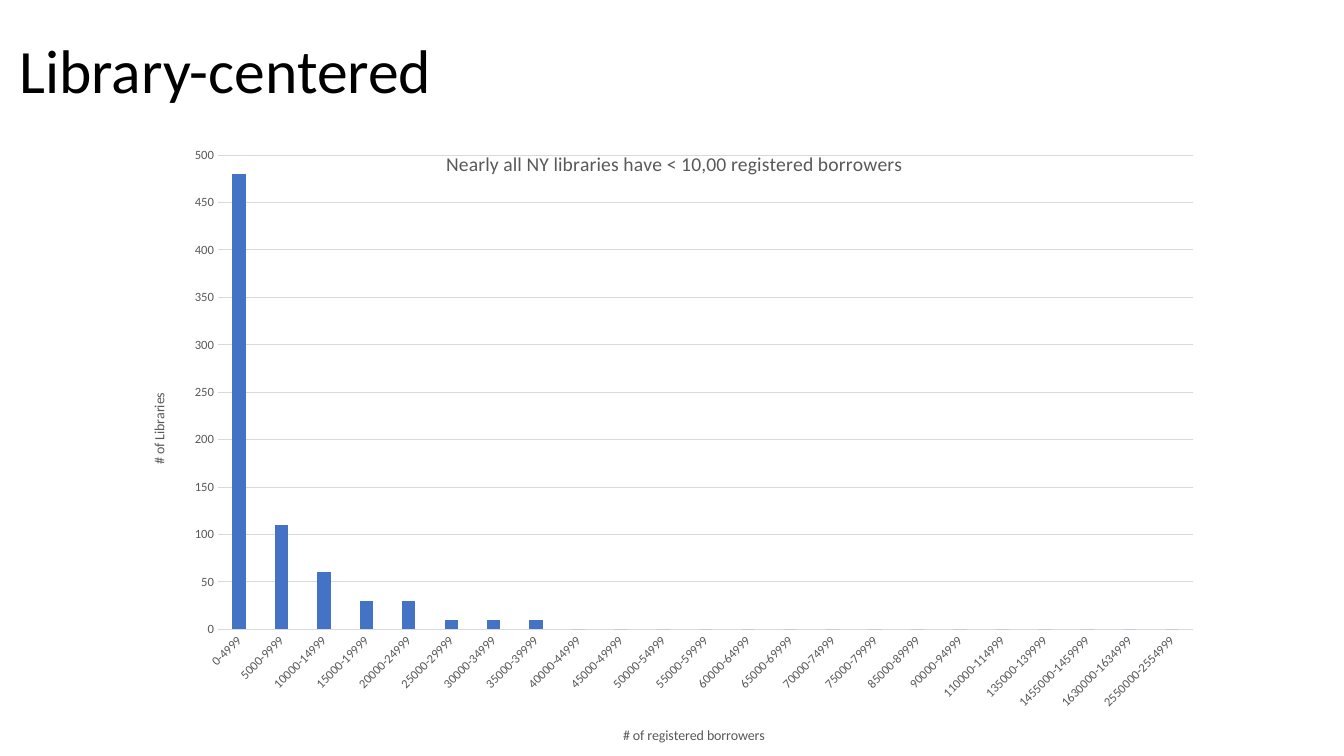
from lxml import etree
from pptx import Presentation, util as u
from pptx.chart.data import CategoryChartData
from pptx.dml.color import RGBColor
from pptx.enum import chart as ch, text
from pptx.oxml.ns import qn

WIDE, HIGH = u.Inches(13.33), u.Inches(7.5)
FACE = "Calibri"
BLACK = RGBColor(0, 0, 0)
GREY = RGBColor(0x59, 0x59, 0x59)
PALE = RGBColor(0xD9, 0xD9, 0xD9)
BLUE = RGBColor(0x44, 0x72, 0xC4)

STEP = 5000
# Lower bounds of the borrower ranges, in steps
STARTS = [*range(16), 17, 18, 22, 27, 291, 326, 510]
COUNTS = [480, 110, 60, 30, 30, 10, 10, 10] + [0] * 15


def place(left, top, wide, high):
    """Turn percentages of the slide into lengths."""
    return [int(a * b / 100) for a, b in
            zip((left, top, wide, high), (WIDE, HIGH, WIDE, HIGH))]


def style(font, size, color):
    font.name, font.size, font.bold = FACE, u.Pt(size), False
    font.color.rgb = color


def pin(node, **spots):
    """Fix a chart part at percentages of the chart area."""
    layout = node.find(qn("c:layout"))
    if layout is None:
        layout = etree.Element(qn("c:layout"))
        node.insert(0, layout)
    manual = etree.SubElement(layout, qn("c:manualLayout"))
    if "w" in spots:
        etree.SubElement(manual, qn("c:layoutTarget")).set("val", "inner")
    for key in ("x", "y"):
        etree.SubElement(manual, qn(f"c:{key}Mode")).set("val", "edge")
    for key, part in spots.items():
        etree.SubElement(manual, qn(f"c:{key}")).set("val", f"{part / 100:.4f}")


def label(title, words, size, x, y, turn=0):
    """Fill a chart or axis title and fix its place."""
    frame = title.text_frame
    frame.text = words
    style(frame.paragraphs[0].font, size, GREY)
    body = frame._txBody.find(qn("a:bodyPr"))
    body.set("rot", str(turn * 60000))
    body.set("vert", "horz")
    pin(title._element, x=x, y=y)


def trim(axis, words, x, y, turn=0):
    """Style an axis and give it a title."""
    axis.major_tick_mark = axis.minor_tick_mark = ch.XL_TICK_MARK.NONE
    style(axis.tick_labels.font, 9, GREY)
    label(axis.axis_title, words, 10, x, y, turn)


def rule(line):
    line.color.rgb = PALE
    line.width = u.Pt(0.75)


def add_head(slide, words):
    frame = slide.shapes.add_textbox(*place(0.7, 0.1, 86.3, 19.3)).text_frame
    frame.word_wrap = True
    frame.vertical_anchor = text.MSO_ANCHOR.MIDDLE
    para = frame.paragraphs[0]
    para.text = words
    para.line_spacing = 0.9
    style(para.font, 44, BLACK)


def add_bars(slide):
    data = CategoryChartData()
    data.categories = [f"{n * STEP}-{n * STEP + STEP - 1}" for n in STARTS]
    data.add_series("Series 1", COUNTS)
    chart = slide.shapes.add_chart(
        ch.XL_CHART_TYPE.COLUMN_CLUSTERED,
        *place(9.68, 10.67, 80.72, 90.67), data).chart
    style(chart.font, 10, BLACK)
    chart.has_legend = False
    label(chart.chart_title,
          "Nearly all NY libraries have < 10,00 registered borrowers",
          14, 28.8, 9.56)
    chart.chart_title._element.find(qn("c:overlay")).set("val", "1")

    plot = chart.plots[0]
    plot.gap_width, plot.overlap = 219, -27
    plot.vary_by_categories = False
    fill = plot.series[0].format.fill
    fill.solid()
    fill.fore_color.rgb = BLUE
    pin(chart._chartSpace.chart.plotArea, x=8.1, y=10.87, w=89.9, h=69.2)

    base = chart.category_axis
    trim(base, "# of registered borrowers", 45.2, 93.85)
    base._element.find(qn("c:txPr")).find(qn("a:bodyPr")).set("rot", "-2700000")
    rule(base.format.line)

    side = chart.value_axis
    trim(side, "# of Libraries", 1.6, 45.15, -90)
    side.minimum_scale, side.maximum_scale, side.major_unit = 0, 500, 50
    side.format.line.fill.background()
    rule(side.major_gridlines.format.line)


def main():
    deck = Presentation()
    deck.slide_width, deck.slide_height = WIDE, HIGH
    slide = deck.slides.add_slide(deck.slide_layouts[6])
    add_head(slide, "Library-centered")
    add_bars(slide)
    deck.save("out.pptx")


if __name__ == "__main__":
    main()
